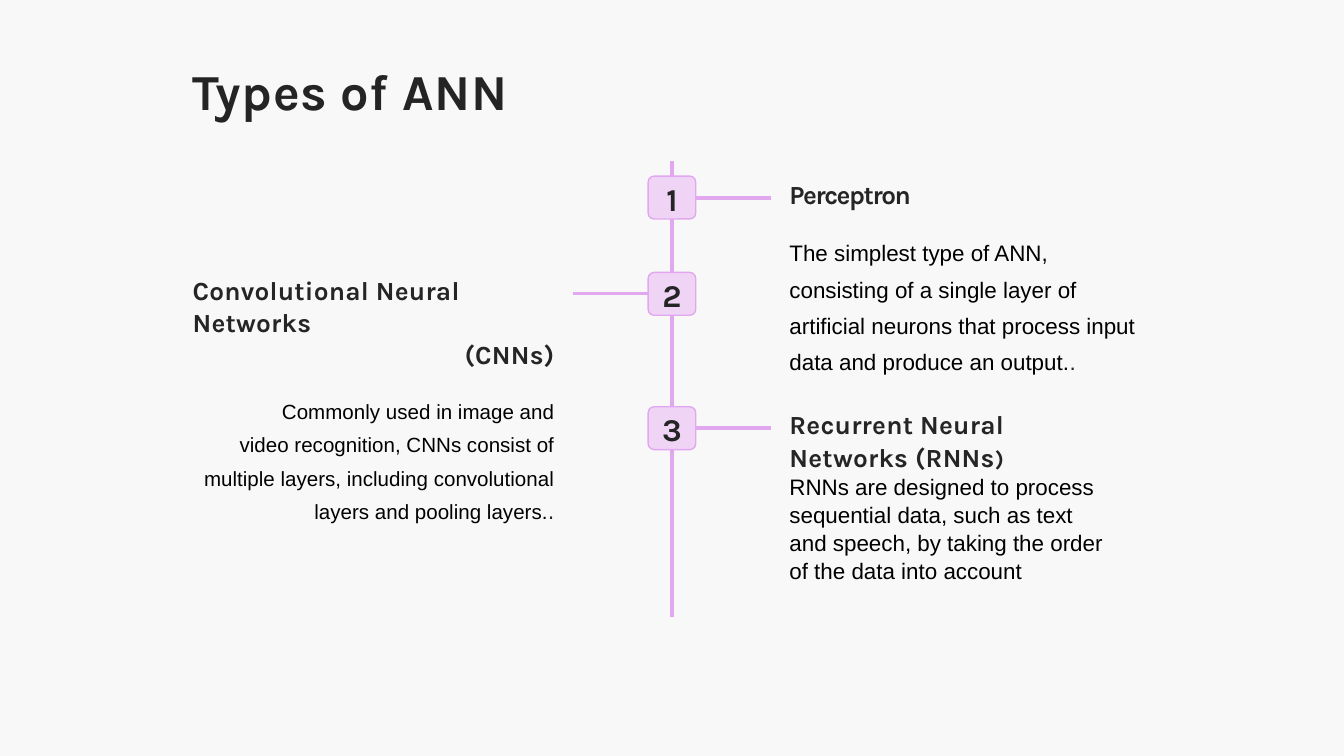
from dataclasses import dataclass

from pptx import Presentation
from pptx import util as u
from pptx.dml.color import RGBColor
from pptx.enum import shapes, text
from pptx.oxml.ns import qn
from lxml import etree


@dataclass(frozen=True)
class Theme:
    back: str = "F8F8F8"
    line: str = "E1A8EF"
    fill: str = "F0D4F6"
    title: str = "242424"
    head: str = "262525"
    body: str = "000000"
    display: str = "Karla"
    plain: str = "Arial"
    symbol: str = "DejaVu Sans"
    title_size: float = 27
    badge_size: float = 17
    head_size: float = 14
    body_size: float = 12
    small_size: float = 11


class Deck:
    def __init__(self, theme):
        self.theme = theme
        self.file = Presentation()
        self.file.slide_width = u.Cm(25.4)
        self.file.slide_height = u.Cm(14.29)
        self.slide = self.file.slides.add_slide(self.file.slide_layouts[5])
        self.paint(self.slide.background.fill, theme.back)

    def paint(self, fill, tint):
        fill.solid()
        fill.fore_color.rgb = RGBColor.from_string(tint)

    def frame(self, shape, anchor=text.MSO_ANCHOR.TOP):
        frame = shape.text_frame
        frame.word_wrap = True
        frame.auto_size = text.MSO_AUTO_SIZE.NONE
        frame.vertical_anchor = anchor
        frame.margin_left = frame.margin_right = frame.margin_bottom = 0
        frame.margin_top = u.Cm(0.03)
        return frame

    def run(self, para, words, size, tint, face, bold=False, track=0):
        run = para.add_run()
        run.text = words
        font = run.font
        font.name, font.size, font.bold = face, u.Pt(size), bold
        font.color.rgb = RGBColor.from_string(tint)
        run._r.get_or_add_rPr().set("spc", str(round(track * 100)))

    def head(self, para, words, track=0.1, size=None):
        t = self.theme
        self.run(para, words, size or t.head_size, t.head, t.display, True, track)

    def body(self, para, words, size=None):
        t = self.theme
        self.run(para, words, size or t.body_size, t.body, t.plain)

    def para(self, frame, first=False, before=0, pitch=None,
             align=text.PP_ALIGN.LEFT, indent=0):
        para = frame.paragraphs[0] if first else frame.add_paragraph()
        para.alignment = align
        if not first:
            para.space_before = u.Pt(before)
        if pitch:
            para.line_spacing = pitch
        if indent:
            para._p.get_or_add_pPr().set("indent", str(u.Cm(indent)))
        return para

    def title(self, words, left, top, width, height):
        t = self.theme
        shape = self.slide.shapes.title
        shape.left, shape.top = u.Cm(left), u.Cm(top)
        shape.width, shape.height = u.Cm(width), u.Cm(height)
        para = self.para(self.frame(shape), first=True)
        self.run(para, words, t.title_size, t.title, t.display, True, 0.3)

    def box(self, left, top, width, height):
        return self.frame(self.slide.shapes.add_textbox(
            u.Cm(left), u.Cm(top), u.Cm(width), u.Cm(height)))

    def rule(self, start, end, weight):
        rule = self.slide.shapes.add_connector(
            shapes.MSO_CONNECTOR.STRAIGHT, *map(u.Cm, start + end))
        rule.line.width = u.Pt(weight)
        self.paint(rule.line.fill, self.theme.line)
        etree.SubElement(rule._element.spPr, qn("a:effectLst"))
        return rule

    def badge(self, label, mid, top, width, height):
        t = self.theme
        badge = self.slide.shapes.add_shape(
            shapes.MSO_SHAPE.ROUNDED_RECTANGLE,
            u.Cm(mid - width / 2), u.Cm(top), u.Cm(width), u.Cm(height))
        badge.adjustments[0] = 0.14
        badge.shadow.inherit = False
        self.paint(badge.fill, t.fill)
        self.paint(badge.line.fill, t.line)
        badge.line.width = u.Pt(0.75)
        frame = self.frame(badge, text.MSO_ANCHOR.MIDDLE)
        para = self.para(frame, first=True, align=text.PP_ALIGN.CENTER)
        self.head(para, label, 0, t.badge_size)
        return badge


def main():
    theme = Theme()
    deck = Deck(theme)
    right = text.PP_ALIGN.RIGHT
    mid, wide, high, reach = 12.7, 0.9, 0.81, 1.42

    deck.title("Types of ANN", 3.64, 1.1, 8, 1.22)
    deck.rule((mid, 3.05), (mid, 11.66), 2.5)

    steps = [(3.33, 1, 2.25), (5.15, -1, 1.5), (7.69, 1, 2.25)]
    for count, (top, side, weight) in enumerate(steps, 1):
        badge = deck.badge(str(count), mid, top, wide, high)
        edge, level = mid + side * wide / 2, top + high / 2
        arm = deck.rule((edge, level), (edge + side * reach, level), weight)
        arm.begin_connect(badge, 3 if side > 0 else 1)

    frame = deck.box(14.92, 3.35, 6.7, 3.78)
    deck.head(deck.para(frame, first=True), "Perceptron", -0.8)
    para = deck.para(frame, before=10.7, pitch=1.35)
    deck.body(para, "The simplest type of ANN, consisting of a single layer of "
                    "artificial neurons that process input data and produce an output.")
    deck.run(para, ".", theme.body_size, theme.head, theme.plain)

    frame = deck.box(3.64, 5.16, 6.84, 4.22)
    deck.head(deck.para(frame, first=True), "Convolutional Neural Networks")
    deck.head(deck.para(frame, before=0.7, align=right), "(CNNs)")
    para = deck.para(frame, before=10.7, pitch=1.36, align=right, indent=0.86)
    deck.body(para, "Commonly used in image and video recognition, CNNs consist of "
                    "multiple layers, including convolutional layers and pooling layers.",
              theme.small_size)
    deck.run(para, ".", theme.small_size, theme.head, theme.symbol, track=-1.2)

    frame = deck.box(14.92, 7.67, 6.07, 3.35)
    para = deck.para(frame, first=True, pitch=1.04)
    deck.head(para, "Recurrent Neural Networks (RNNs")
    deck.head(para, ")", size=theme.body_size)
    para = deck.para(frame, pitch=1.04)
    deck.body(para, "RNNs are designed to process sequential data, such as text and "
                    "speech, by taking the order of the data into account")

    deck.file.save("out.pptx")


if __name__ == "__main__":
    main()
